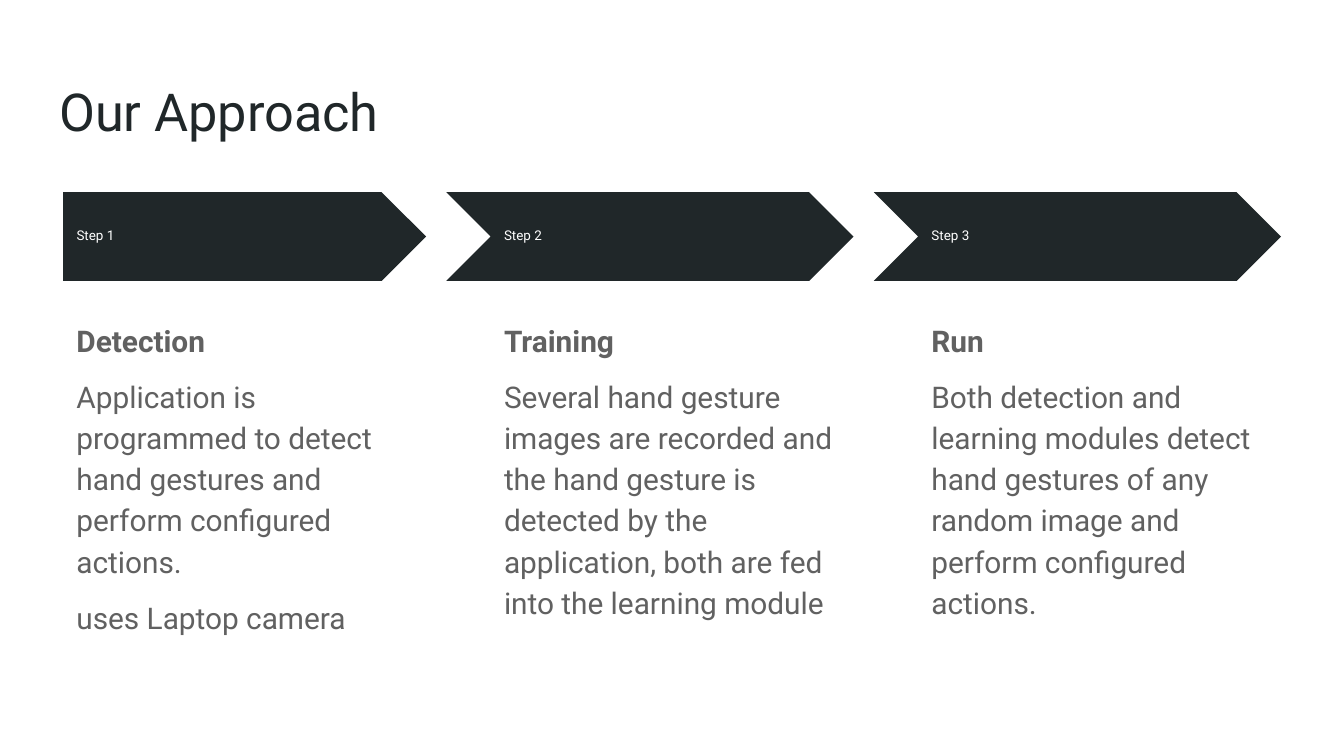
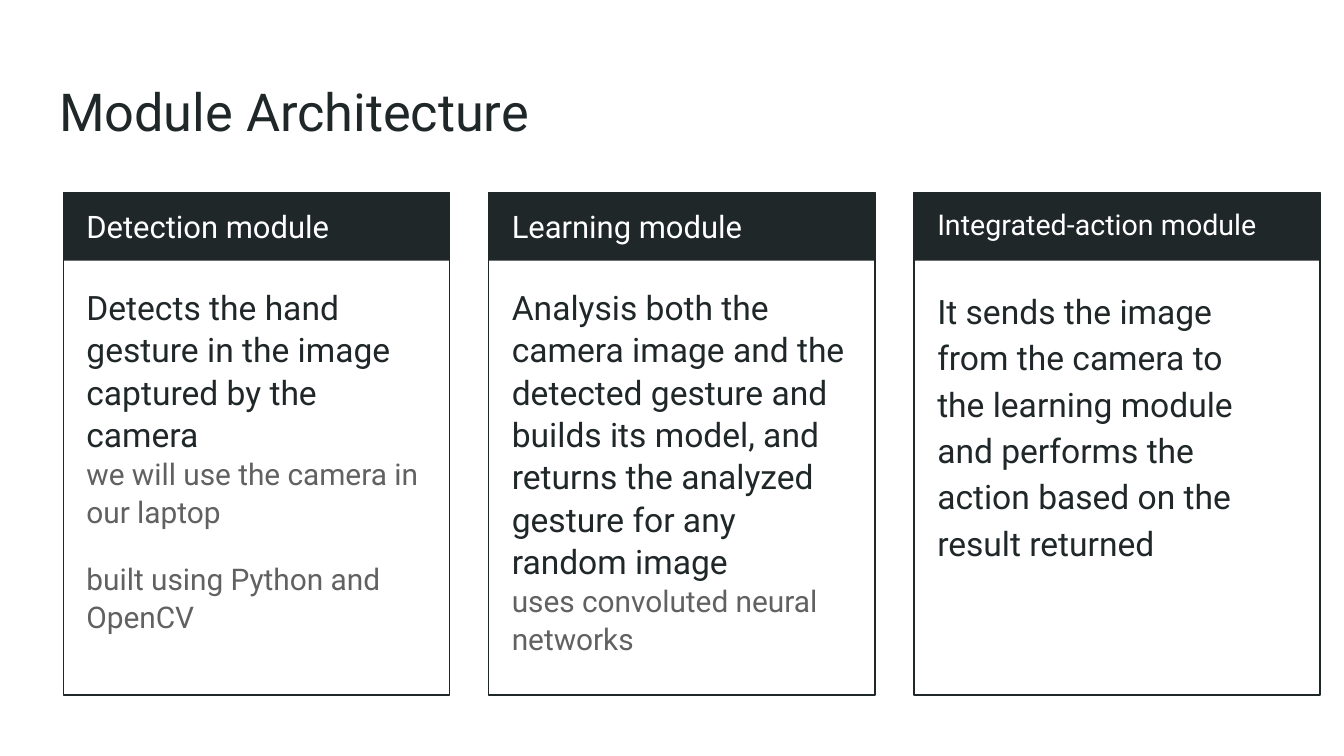
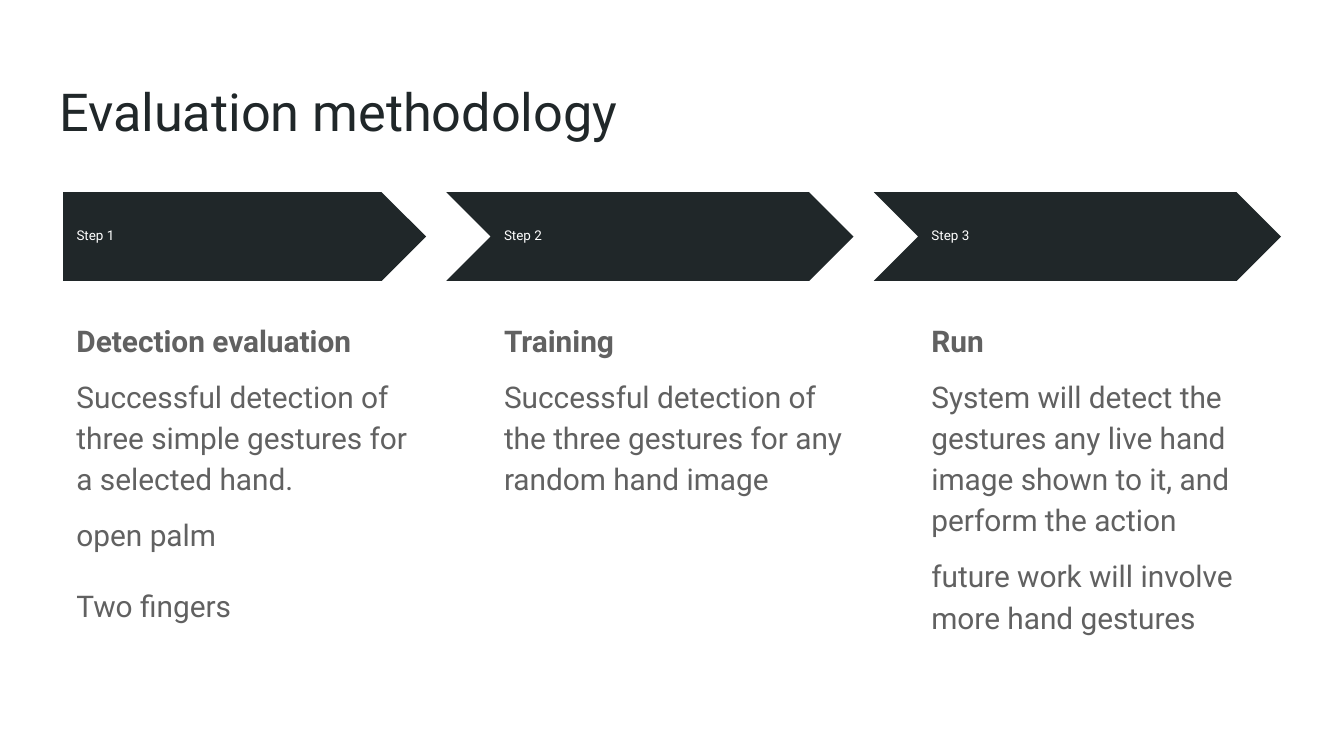
from pptx import Presentation
from pptx.dml.color import RGBColor
from pptx.enum.shapes import MSO_SHAPE
from pptx.enum.text import MSO_ANCHOR, MSO_AUTO_SIZE, PP_ALIGN
from pptx.util import Pt

# Content: each step is a heading followed by its paragraphs
APPROACH = ("Our Approach", [
    ("Detection", [
        "Application is programmed to detect hand gestures and perform configured actions.",
        "uses Laptop camera"]),
    ("Training", [
        "Several hand gesture images are recorded and the hand gesture is detected "
        "by the application, both are fed into the learning module"]),
    ("Run", [
        "Both detection and learning modules detect hand gestures of any random image "
        "and perform configured actions."]),
])
EVALUATION = ("Evaluation methodology", [
    ("Detection evaluation", [
        "Successful detection of three simple gestures for a selected hand.",
        "open palm",
        "Two fingers"]),
    ("Training", [
        "Successful detection of the three gestures for any random hand image"]),
    ("Run", [
        "System will detect the gestures any live hand image shown to it, and perform the action",
        "future work will involve more hand gestures"]),
])
# Each module: name, name size, card width, line spacing, description, details
ARCHITECTURE = ("Module Architecture", [
    ("Detection module", 16.6, 207, 1.05,
     "Detects the hand gesture in the image captured by the camera",
     ["we will use the camera in our laptop", "built using Python and OpenCV"]),
    ("Learning module", 16.6, 207, 1.05,
     "Analysis both the camera image and the detected gesture and builds its model, "
     "and returns the analyzed gesture for any random image",
     ["uses convoluted neural networks"]),
    ("Integrated-action module", 15.3, 217.4, 1.15,
     "It sends the image from the camera to the learning module and performs the "
     "action based on the result returned", []),
])

# Shared style, lengths in points
FONT = "Roboto"
DARK = RGBColor(0x20, 0x27, 0x29)
GREY = RGBColor(0x61, 0x61, 0x61)
WHITE = RGBColor(0xFF, 0xFF, 0xFF)
INSET = 7.2
LEFT, TOP = 33.9, 103

STEP_PITCH, STEP_WIDTH = 229, 194.4
BAND_HEIGHT, POINT = 47.5, 23.8
STEP_TEXT_WIDTHS = (194.4, 206, 194.4)

CARD_PITCH, CARD_HEIGHT, HEADER_HEIGHT = 227.9, 269.3, 36.7
CARD_PAD = 5.3


def fill_text(shape, paragraphs, anchor=MSO_ANCHOR.TOP):
    """Each paragraph is (text, size, colour, bold, line spacing, space after)."""
    frame = shape.text_frame
    frame.word_wrap = True
    frame.auto_size = MSO_AUTO_SIZE.NONE
    frame.vertical_anchor = anchor
    frame.margin_left = frame.margin_right = Pt(INSET)
    frame.margin_top = frame.margin_bottom = Pt(INSET)
    for i, (text, size, colour, bold, spacing, after) in enumerate(paragraphs):
        paragraph = frame.add_paragraph() if i else frame.paragraphs[0]
        paragraph.alignment = PP_ALIGN.LEFT
        paragraph.line_spacing = spacing
        paragraph.space_before = Pt(0)
        paragraph.space_after = Pt(after)
        run = paragraph.add_run()
        run.text = text
        run.font.name = FONT
        run.font.size = Pt(size)
        run.font.bold = bold
        run.font.color.rgb = colour


def add_text(slide, left, top, width, height, paragraphs, anchor=MSO_ANCHOR.TOP):
    box = slide.shapes.add_textbox(Pt(left), Pt(top), Pt(width), Pt(height))
    fill_text(box, paragraphs, anchor)


def paint_dark(shape):
    shape.shadow.inherit = False
    shape.fill.solid()
    shape.fill.fore_color.rgb = DARK
    shape.line.fill.background()


def add_titled_slide(deck, heading):
    slide = deck.slides.add_slide(deck.slide_layouts[5])
    title = slide.shapes.title
    title.left, title.top, title.width, title.height = Pt(24.5), Pt(35), Pt(671), Pt(45)
    fill_text(title, [(heading, 28, DARK, False, 1.0, 0)])
    return slide


def add_band(slide, left, right, notched):
    middle, bottom = TOP + BAND_HEIGHT / 2, TOP + BAND_HEIGHT
    outline = [(left, TOP), (right - POINT, TOP), (right, middle),
               (right - POINT, bottom), (left, bottom)]
    if notched:
        outline.append((left + POINT, middle))
    corners = [(Pt(x), Pt(y)) for x, y in outline]
    builder = slide.shapes.build_freeform(*corners[0])
    builder.add_line_segments(corners[1:], close=True)
    paint_dark(builder.convert_to_shape())


def add_steps_slide(deck, heading, steps):
    slide = add_titled_slide(deck, heading)
    for i, (step, details) in enumerate(steps):
        left = LEFT + i * STEP_PITCH
        add_band(slide, left - POINT if i else left, left + STEP_WIDTH, notched=i > 0)
        add_text(slide, left, TOP + 11.5, 178, 24.5,
                 [(f"Step {i + 1}", 7.2, WHITE, False, 0.8, 0)], MSO_ANCHOR.MIDDLE)
        # The heading and first paragraph sit closer than the rest
        paragraphs = [(step, 16, GREY, True, 1.15, 8)]
        paragraphs += [(detail, 16, GREY, False, 1.15, 16 if n else 8)
                       for n, detail in enumerate(details)]
        add_text(slide, left, 162.7, STEP_TEXT_WIDTHS[i], 208.8, paragraphs)


def add_modules_slide(deck, heading, modules):
    slide = add_titled_slide(deck, heading)
    for i, (module, size, width, spacing, description, details) in enumerate(modules):
        left = LEFT + i * CARD_PITCH
        # Card: dark header and thin frame
        header, frame = (
            slide.shapes.add_shape(MSO_SHAPE.RECTANGLE, Pt(left), Pt(TOP), Pt(width), Pt(height))
            for height in (HEADER_HEIGHT, CARD_HEIGHT))
        paint_dark(header)
        frame.shadow.inherit = False
        frame.fill.background()
        frame.line.color.rgb = DARK
        frame.line.width = Pt(0.75)
        # Card text
        add_text(slide, left + CARD_PAD, TOP, width - 2 * CARD_PAD, HEADER_HEIGHT,
                 [(module, size, WHITE, False, 1.05, 0)])
        paragraphs = [(description, 18, DARK, False, spacing, 0)]
        paragraphs += [(detail, 16, GREY, False, spacing, 16) for detail in details]
        add_text(slide, left + CARD_PAD, 145.4, 195.1, 220.3, paragraphs)


def main():
    deck = Presentation()
    deck.slide_width, deck.slide_height = Pt(720), Pt(405)
    add_steps_slide(deck, *APPROACH)
    add_modules_slide(deck, *ARCHITECTURE)
    add_steps_slide(deck, *EVALUATION)
    deck.save("out.pptx")


if __name__ == "__main__":
    main()
